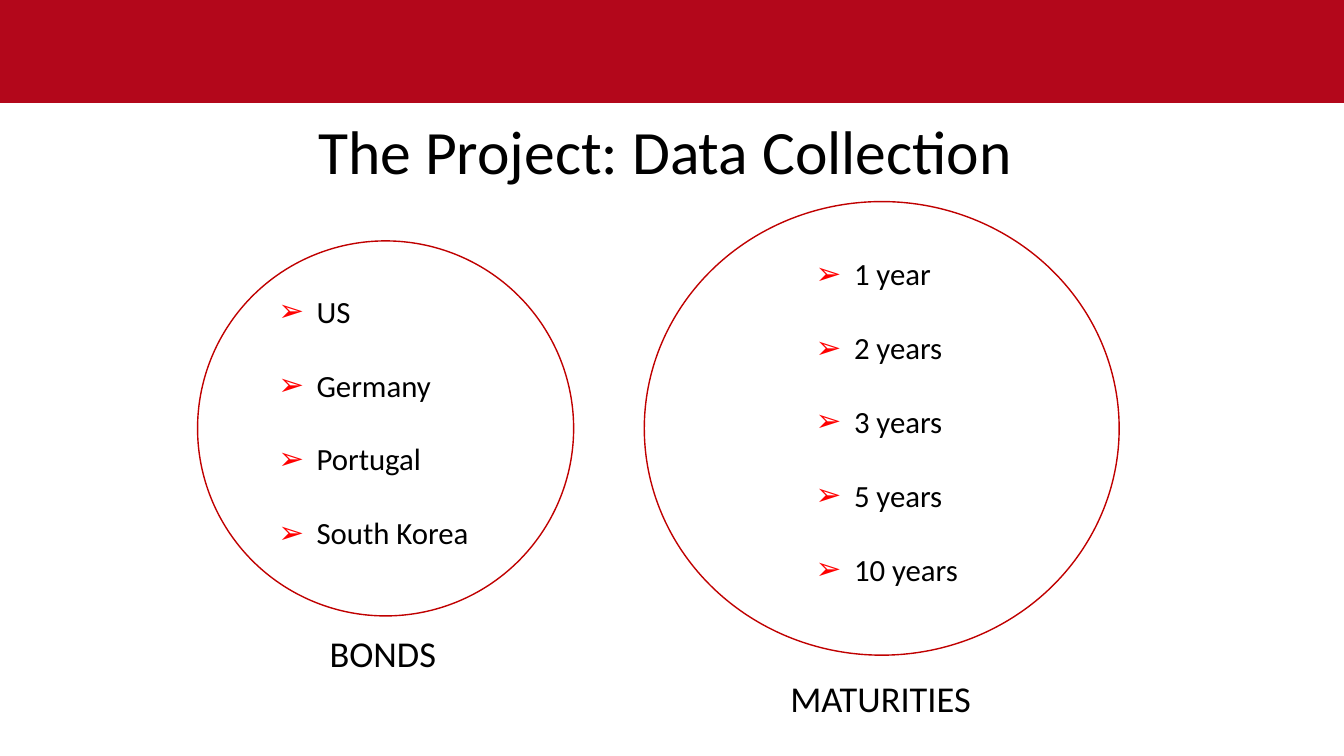
from lxml.etree import SubElement
from pptx import Presentation
from pptx.dml.color import RGBColor
from pptx.enum.shapes import MSO_SHAPE as Shape
from pptx.enum.text import MSO_ANCHOR as Anchor, MSO_AUTO_SIZE as AutoSize, PP_ALIGN as Align
from pptx.oxml.ns import qn
from pptx.util import Inches, Pt

BAND_RED = RGBColor(0xB3, 0x07, 0x1B)
CIRCLE_RED = RGBColor(0xC0, 0x00, 0x00)
BULLET_RED = RGBColor(0xFF, 0x00, 0x00)
BLACK = RGBColor(0x00, 0x00, 0x00)
FONT = "Calibri"

TITLE = "The Project: Data Collection "
# Boxes are left, top, width, height in inches
TITLE_BOX = (0.92, 1.12, 11.5, 0.83)
BAND_BOX = (0, 0, 13.33, 1.02)
GROUPS = [
    {
        "label": "BONDS",
        "items": ["US", "Germany", "Portugal", "South Korea"],
        "circle_box": (1.96, 2.39, 3.73, 3.72),
        "list_box": (2.66, 2.85, 3.17, 2.7),
        "label_box": (3.17, 6.21, 1.31, 0.54),
    },
    {
        "label": "MATURITIES",
        "items": ["1 year", "2 years", "3 years", "5 years", "10 years"],
        "circle_box": (6.39, 2, 4.71, 4.5),
        "list_box": (7.99, 2.48, 3.28, 3.44),
        "label_box": (7.74, 6.66, 2.01, 0.54),
    },
]


def inches(box):
    return [Inches(length) for length in box]


def place(placeholder, box):
    placeholder.left, placeholder.top, placeholder.width, placeholder.height = inches(box)
    placeholder.text_frame.auto_size = AutoSize.NONE


def style(paragraph, size):
    paragraph.font.name = FONT
    paragraph.font.size = Pt(size)
    paragraph.font.color.rgb = BLACK


def add_arrow_bullet(paragraph):
    props = paragraph._p.get_or_add_pPr()
    props.set("marL", str(Inches(0.38)))
    props.set("indent", str(-Inches(0.38)))
    color = SubElement(props, qn("a:buClr"))
    SubElement(color, qn("a:srgbClr")).set("val", str(BULLET_RED))
    SubElement(props, qn("a:buFont")).set("typeface", "Arial")
    SubElement(props, qn("a:buChar")).set("char", "➢")


def fill_list(body, items, box):
    place(body, box)
    frame = body.text_frame
    frame.vertical_anchor = Anchor.TOP
    frame.text = "\n".join(items)
    for paragraph in frame.paragraphs:
        paragraph.space_before = Pt(0)
        paragraph.space_after = Pt(26.4)
        add_arrow_bullet(paragraph)
        style(paragraph, 22)


def add_circle(shapes, box):
    circle = shapes.add_shape(Shape.FLOWCHART_CONNECTOR, *inches(box))
    circle.shadow.inherit = False
    circle.fill.background()
    circle.line.color.rgb = CIRCLE_RED
    circle.line.width = Pt(1)


def add_label(shapes, text, box):
    label = shapes.add_textbox(*inches(box))
    label.text_frame.text = text
    style(label.text_frame.paragraphs[0], 26)


def main():
    deck = Presentation()
    deck.slide_width, deck.slide_height = Inches(13.33), Inches(7.5)
    slide = deck.slides.add_slide(deck.slide_layouts.get_by_name("Two Content"))
    title, *bodies = slide.placeholders

    band = slide.shapes.add_shape(Shape.RECTANGLE, *inches(BAND_BOX))
    band.shadow.inherit = False
    band.fill.solid()
    band.fill.fore_color.rgb = BAND_RED
    band.line.fill.background()

    place(title, TITLE_BOX)
    title.text_frame.text = TITLE
    title.text_frame.vertical_anchor = Anchor.MIDDLE
    heading = title.text_frame.paragraphs[0]
    heading.alignment = Align.CENTER
    heading.line_spacing = 0.9
    style(heading, 44)

    for group, body in zip(GROUPS, bodies):
        add_circle(slide.shapes, group["circle_box"])
        fill_list(body, group["items"], group["list_box"])
        add_label(slide.shapes, group["label"], group["label_box"])

    deck.save("out.pptx")


if __name__ == "__main__":
    main()
